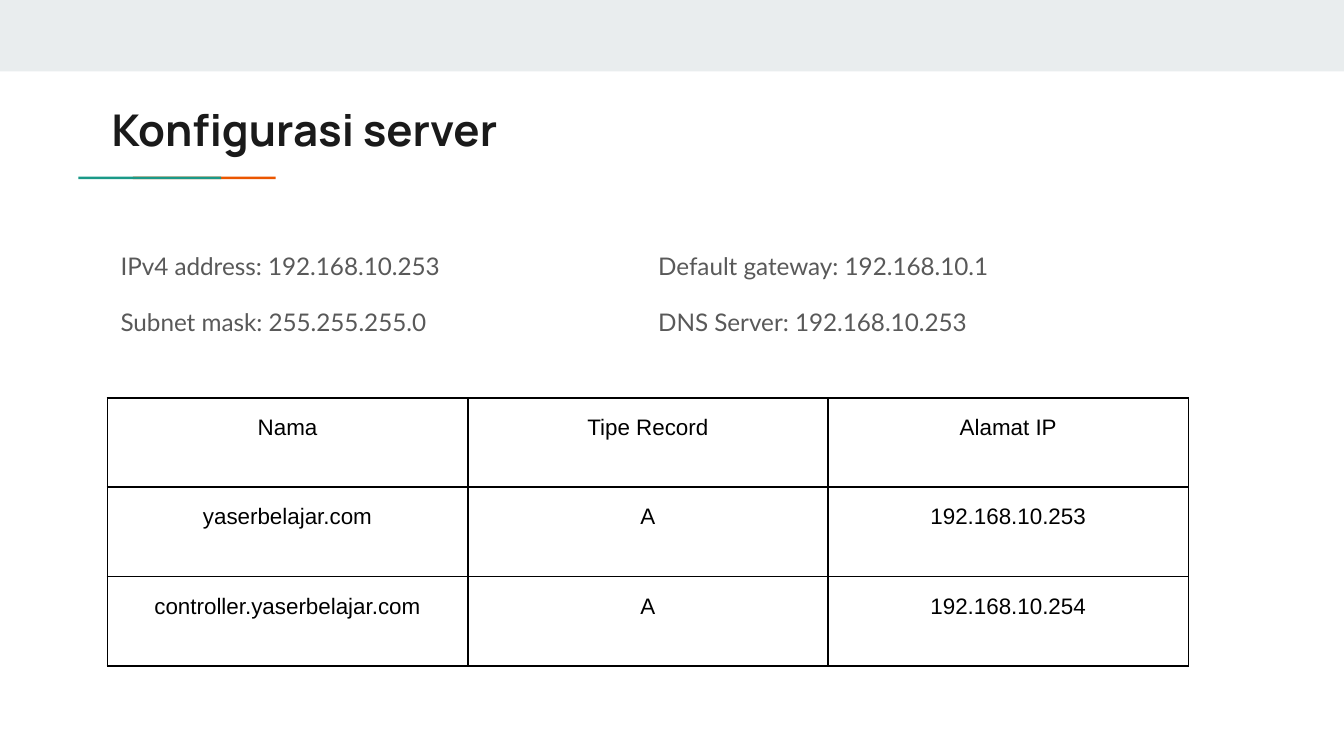
from lxml import etree
from pptx import Presentation
from pptx.dml.color import RGBColor
from pptx.enum.shapes import MSO_SHAPE
from pptx.enum.text import MSO_ANCHOR, MSO_AUTO_SIZE, PP_ALIGN
from pptx.oxml.ns import qn
from pptx.util import Cm, Pt

RECT = MSO_SHAPE.RECTANGLE
TOP = MSO_ANCHOR.TOP
NO_FIT = MSO_AUTO_SIZE.NONE
LEFT, CENTER = PP_ALIGN.LEFT, PP_ALIGN.CENTER

COLORS = {
    "band": "E9EDEE",
    "orange": "EB5600",
    "teal": "1A9988",
    "title": "1A1A1A",
    "body": "595959",
    "table": "000000",
}
SETTINGS = [
    ("IPv4 address: 192.168.10.253", "Default gateway: 192.168.10.1"),
    ("Subnet mask: 255.255.255.0", "DNS Server: 192.168.10.253"),
]
RECORDS = [
    ("Nama", "Tipe Record", "Alamat IP"),
    ("yaserbelajar.com", "A", "192.168.10.253"),
    ("controller.yaserbelajar.com", "A", "192.168.10.254"),
]


def rgb(name):
    """Return the named colour."""
    return RGBColor.from_string(COLORS[name])


def add_run(p, text, font, size, color, bold=False):
    """Add one formatted run to a paragraph."""
    r = p.add_run()
    r.text = text
    r.font.name, r.font.size, r.font.bold = font, Pt(size), bold
    r.font.color.rgb = rgb(color)


def add_bar(s, x, y, w, h, color):
    """Add a plain filled rectangle."""
    sp = s.shapes.add_shape(RECT, Cm(x), Cm(y), Cm(w), Cm(h))
    sp.shadow.inherit = False
    sp.fill.solid()
    sp.fill.fore_color.rgb = rgb(color)
    sp.line.fill.background()


def set_frame(tf):
    """Give a text frame even margins, wrapping and top anchoring."""
    tf.margin_left = tf.margin_right = tf.margin_top = tf.margin_bottom = Cm(0.25)
    tf.word_wrap, tf.auto_size, tf.vertical_anchor = True, NO_FIT, TOP


def add_title(s, x, y, w, h, text):
    """Place and format the title placeholder."""
    sp = s.shapes.title
    sp.left, sp.top, sp.width, sp.height = Cm(x), Cm(y), Cm(w), Cm(h)
    set_frame(sp.text_frame)
    p = sp.text_frame.paragraphs[0]
    p.alignment = LEFT
    add_run(p, text, "Manrope", 23.4, "title", bold=True)


def add_accent(s, x, y, w, h):
    """Draw two overlapping bars of equal length, teal in front."""
    length = 2.7
    add_bar(s, x + w - length, y, length, h, "orange")
    add_bar(s, x, y, length, h, "teal")


def add_settings(s, x, y, w, h, rows):
    """Write pairs of settings in two columns aligned by a tab stop."""
    tf = s.shapes.add_textbox(Cm(x), Cm(y), Cm(w), Cm(h)).text_frame
    set_frame(tf)
    for i, row in enumerate(rows):
        p = tf.add_paragraph() if i else tf.paragraphs[0]
        tabs = etree.SubElement(p._p.get_or_add_pPr(), qn("a:tabLst"))
        etree.SubElement(tabs, qn("a:tab"), pos=str(Cm(10.16)), algn="l")
        p.line_spacing = 1.15
        if i:
            p.space_before = Pt(12)
        add_run(p, "\t".join(row), "Lato", 13, "body")


def add_borders(cell):
    """Draw a thin line on all four sides of a cell."""
    tcPr = cell._tc.get_or_add_tcPr()
    for side in ("a:lnL", "a:lnR", "a:lnT", "a:lnB"):
        ln = etree.SubElement(tcPr, qn(side), w=str(Pt(1)))
        fill = etree.SubElement(ln, qn("a:solidFill"))
        etree.SubElement(fill, qn("a:srgbClr"), val=COLORS["table"])


def add_records(s, x, y, w, h, rows):
    """Add the table of records with equal rows and columns."""
    shape = s.shapes.add_table(len(rows), len(rows[0]), Cm(x), Cm(y), Cm(w), Cm(h))
    table = shape.table
    table.first_row = table.horz_banding = False
    for i, row in enumerate(rows):
        for j, text in enumerate(row):
            cell = table.cell(i, j)
            add_borders(cell)
            cell.fill.background()
            cell.margin_left = cell.margin_right = Cm(0.18)
            cell.margin_top = cell.margin_bottom = Cm(0.25)
            p = cell.text_frame.paragraphs[0]
            p.alignment, p.line_spacing, p.space_after = CENTER, 1.15, Pt(12)
            add_run(p, text, "Arial", 12, "table")


def main():
    """Build the slide and save it."""
    prs = Presentation()
    prs.slide_width, prs.slide_height = Cm(25.4), Cm(14.29)
    s = prs.slides.add_slide(prs.slide_layouts[5])
    add_bar(s, 0, 0, 25.4, 1.35, "band")
    add_accent(s, 1.48, 3.34, 3.73, 0.05)
    add_title(s, 1.86, 1.7, 21.36, 1.5, "Konfigurasi server")
    add_settings(s, 2.03, 4.42, 21.36, 6.27, SETTINGS)
    add_records(s, 2.03, 7.52, 20.43, 5.07, RECORDS)
    prs.save("out.pptx")


if __name__ == "__main__":
    main()
